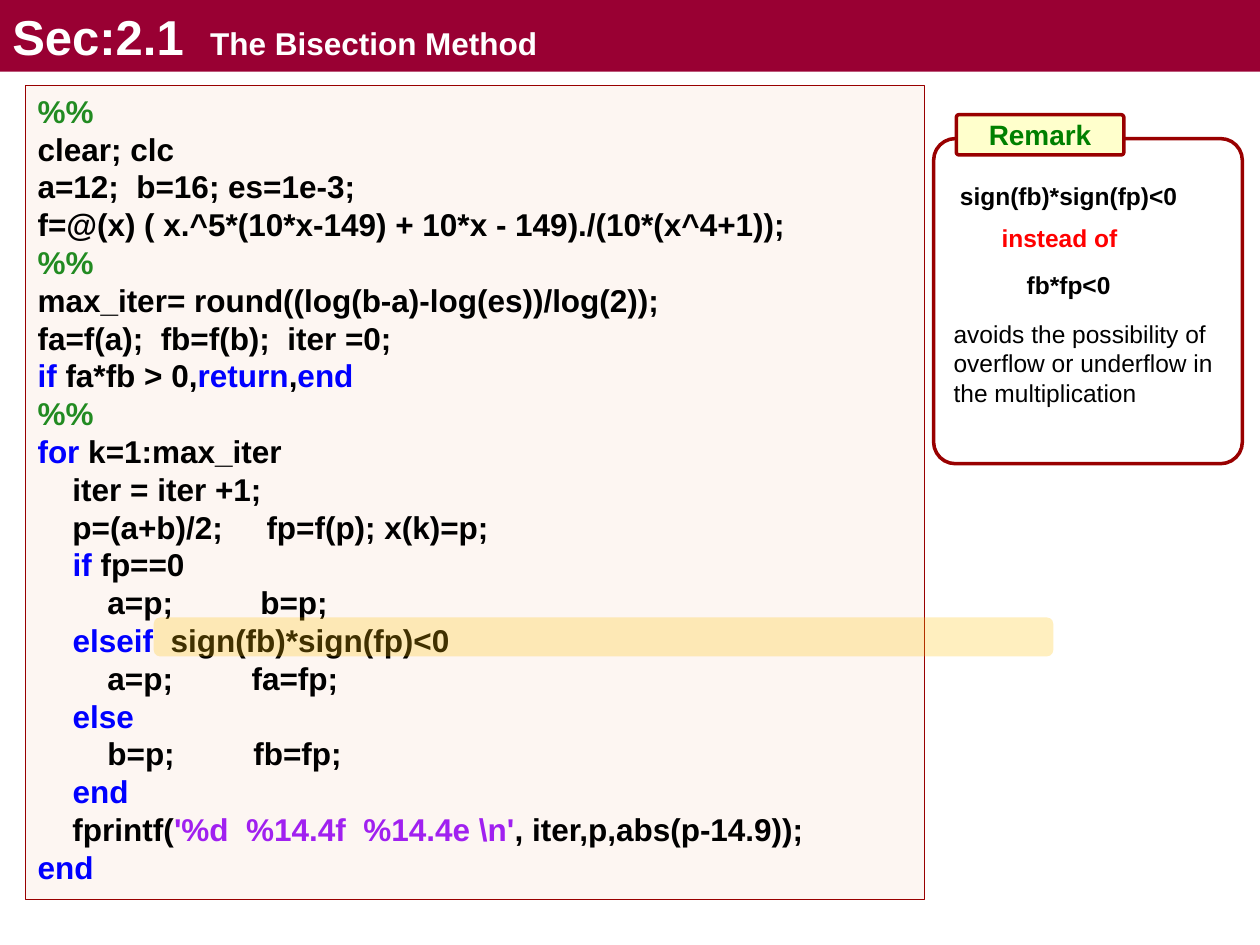
from lxml.etree import SubElement
from pptx import Presentation
from pptx.dml.color import RGBColor
from pptx.enum.shapes import MSO_SHAPE
from pptx.enum.text import MSO_ANCHOR, PP_ALIGN
from pptx.oxml.ns import qn
from pptx.util import Inches, Pt

COLORS = {
    "banner": "990033", "border": "990000", "panel": "DB6110",
    "highlight": "FFC000", "label": "FFFFCC", "remark": "008000",
    "white": "FFFFFF", "plain": "000000", "warning": "FF0000",
    "comment": "228B22", "keyword": "0000FF", "string": "A020F0",
}
FONT = "Arial"
WIDTH, HEIGHT = 10, 7.5
TITLE = [("Sec:2.1", 28), ("\tThe Bisection Method", 18)]
TITLE_TAB = 1.57

# Each code line is a list of pieces; a bare string is plain code.
CODE = [
    [("%%", "comment")],
    ["clear; clc"],
    ["a=12;  b=16; es=1e-3;"],
    ["f=@(x) ( x.^5*(10*x-149) + 10*x - 149)./(10*(x^4+1));"],
    [("%%", "comment")],
    ["max_iter= round((log(b-a)-log(es))/log(2));"],
    ["fa=f(a);  fb=f(b);  iter =0;"],
    [("if", "keyword"), " fa*fb > 0,", ("return", "keyword"), ",", ("end", "keyword")],
    [("%%", "comment")],
    [("for", "keyword"), " k=1:max_iter"],
    ["    iter = iter +1;"],
    ["    p=(a+b)/2;     fp=f(p); x(k)=p;"],
    ["    ", ("if ", "keyword"), "fp==0"],
    ["        a=p;          b=p;"],
    ["    ", ("elseif ", "keyword"), " sign(fb)*sign(fp)<0"],
    ["        a=p;         fa=fp;"],
    ["    ", ("else", "keyword")],
    ["        b=p;         fb=fp;"],
    ["    ", ("end", "keyword")],
    ["    fprintf(", (r"'%d  %14.4f  %14.4e \n'", "string"), ", iter,p,abs(p-14.9));"],
    [("end", "keyword")],
]
CODE_BOX = (0.2, 0.68, 7.14, 6.46)
CODE_LINE_POINTS = 21.6
HIGHLIGHT_BOX = (1.22, 4.9, 7.14, 0.31)
REMARK_BOX = (7.41, 1.1, 2.45, 2.58)
LABEL_BOX = (7.59, 0.91, 1.33, 0.32)

# text, box, colour, bold, wrap
REMARKS = [
    ("avoids the possibility of overflow or underflow in the multiplication",
     (7.47, 2.48, 2.46, 0.81), "plain", False, True),
    ("sign(fb)*sign(fp)<0", (7.52, 1.39, 1.93, 0.34), "plain", True, False),
    ("fb*fp<0", (8.05, 2.09, 0.87, 0.34), "plain", True, False),
    ("instead of", (7.85, 1.72, 1.12, 0.34), "warning", True, False),
]


def rgb(name):
    return RGBColor.from_string(COLORS[name])


def add_panel(slide, kind, box, fill=None, line=None, line_points=2,
              opacity=None, corner=None):
    shape = slide.shapes.add_shape(kind, *map(Inches, box))
    shape.shadow.inherit = False
    if corner is not None:
        shape.adjustments[0] = corner
    if fill:
        shape.fill.solid()
        shape.fill.fore_color.rgb = rgb(fill)
    else:
        shape.fill.background()
    if opacity is not None:
        color = shape.fill._xPr.find(".//" + qn("a:srgbClr"))
        SubElement(color, qn("a:alpha"), val=str(opacity * 1000))
    if line:
        shape.line.color.rgb = rgb(line)
        shape.line.width = Pt(line_points)
    else:
        shape.line.fill.background()
    shape.text_frame.vertical_anchor = MSO_ANCHOR.TOP
    return shape


def set_font(paragraph, size=None, color=None, bold=True):
    font = paragraph.font
    font.name, font.bold = FONT, bold
    if size:
        font.size = Pt(size)
    if color:
        font.color.rgb = rgb(color)


def add_title(slide):
    banner = add_panel(slide, MSO_SHAPE.RECTANGLE, (0, 0, WIDTH, 0.57), "banner")
    paragraph = banner.text_frame.paragraphs[0]
    paragraph.alignment = PP_ALIGN.LEFT
    tabs = SubElement(paragraph._p.get_or_add_pPr(), qn("a:tabLst"))
    SubElement(tabs, qn("a:tab"), pos=str(Inches(TITLE_TAB)), algn="l")
    set_font(paragraph, color="white")
    for text, size in TITLE:
        run = paragraph.add_run()
        run.text = text
        run.font.size = Pt(size)


def add_code(slide):
    panel = add_panel(slide, MSO_SHAPE.RECTANGLE, CODE_BOX, "panel", "border",
                      line_points=0.75, opacity=5)
    frame = panel.text_frame
    for index, pieces in enumerate(CODE):
        paragraph = frame.add_paragraph() if index else frame.paragraphs[0]
        paragraph.alignment = PP_ALIGN.LEFT
        paragraph.line_spacing = Pt(CODE_LINE_POINTS)
        set_font(paragraph, 18, "plain")
        for piece in pieces:
            text, color = (piece, "plain") if isinstance(piece, str) else piece
            run = paragraph.add_run()
            run.text = text
            run.font.color.rgb = rgb(color)


def add_remarks(slide):
    for text, box, color, bold, wrap in REMARKS:
        frame = slide.shapes.add_textbox(*map(Inches, box)).text_frame
        frame.word_wrap = wrap
        frame.text = text
        set_font(frame.paragraphs[0], 14, color, bold)
    label = add_panel(slide, MSO_SHAPE.ROUNDED_RECTANGLE, LABEL_BOX, "label",
                      "border", corner=0.07)
    label.text_frame.vertical_anchor = MSO_ANCHOR.MIDDLE
    label.text_frame.text = "Remark"
    paragraph = label.text_frame.paragraphs[0]
    paragraph.alignment = PP_ALIGN.CENTER
    set_font(paragraph, 16, "remark")


def main():
    presentation = Presentation()
    presentation.slide_width, presentation.slide_height = Inches(WIDTH), Inches(HEIGHT)
    slide = presentation.slides.add_slide(presentation.slide_layouts[6])
    add_panel(slide, MSO_SHAPE.ROUNDED_RECTANGLE, REMARK_BOX, line="border", corner=0.07)
    add_title(slide)
    add_code(slide)
    add_panel(slide, MSO_SHAPE.ROUNDED_RECTANGLE, HIGHLIGHT_BOX, "highlight", opacity=25)
    add_remarks(slide)
    presentation.save("out.pptx")


if __name__ == "__main__":
    main()
